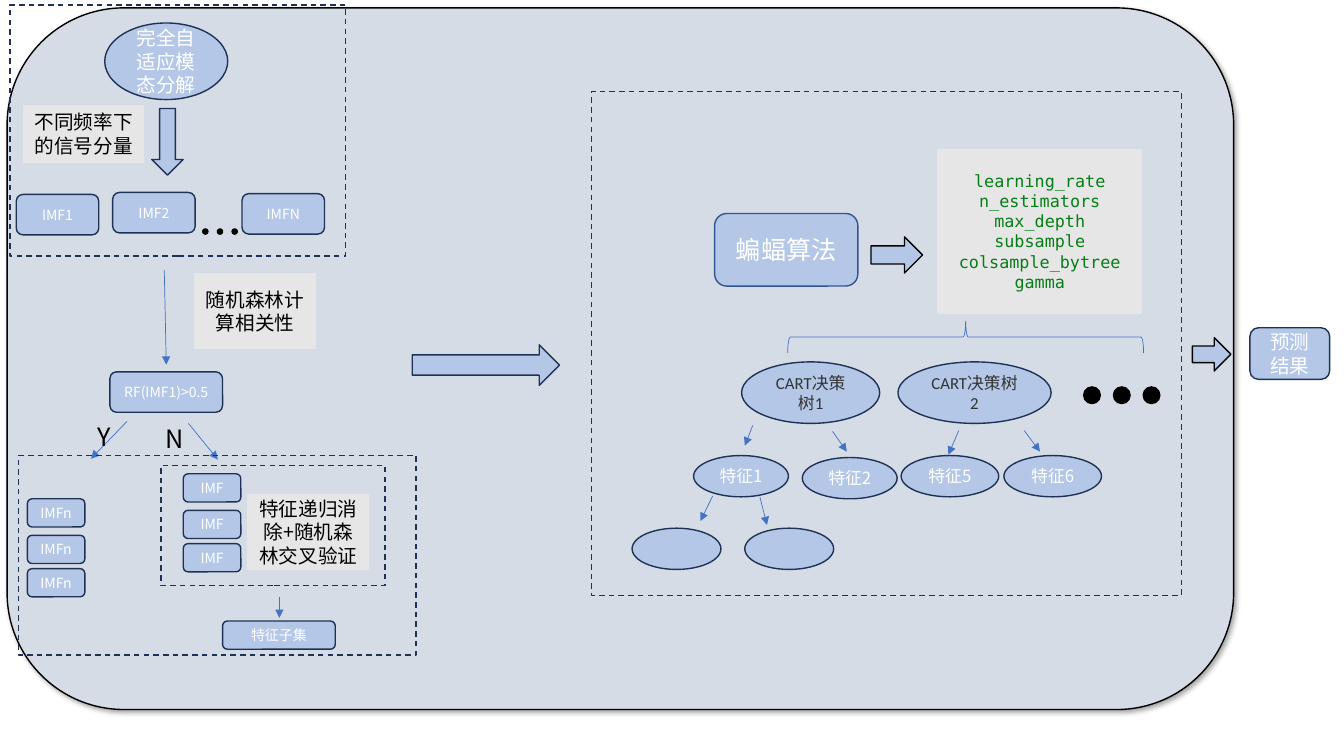
from lxml import etree
from pptx import Presentation
from pptx import util as u
from pptx.dml.color import RGBColor
from pptx.enum import dml, shapes, text
from pptx.oxml import ns, parse_xml

Cm, Pt = u.Cm, u.Pt
KIND = shapes.MSO_SHAPE
BLUE, NAVY, GRAY, PANEL, ACCENT = "B4C7E7", "1E3256", "E7E6E6", "D6DCE5", "4472C4"
CJK = "Noto Sans CJK SC"

presentation = Presentation()
presentation.slide_width, presentation.slide_height = Cm(33.87), Cm(19.05)
slide = presentation.slides.add_slide(presentation.slide_layouts[6])


def add_box(kind, left, top, width, height, words="", fill=BLUE, line=NAVY, weight=1,
            dash=False, rotation=0, size=10, color="FFFFFF", font=CJK):
    """Add a preset shape, or a fitted text box when kind is None, with its text."""
    place = Cm(left), Cm(top), Cm(width), Cm(height)
    if kind is None:
        shape = slide.shapes.add_textbox(*place)
        shape.text_frame.word_wrap = False
        shape.text_frame.auto_size = text.MSO_AUTO_SIZE.SHAPE_TO_FIT_TEXT
    else:
        shape = slide.shapes.add_shape(kind, *place)
        shape.shadow.inherit = False
        shape.rotation = rotation
        shape.line.color.rgb = RGBColor.from_string(line)
        shape.line.width = Pt(weight)
        if dash:
            shape.line.dash_style = dml.MSO_LINE.DASH
        if fill:
            shape.fill.solid()
            shape.fill.fore_color.rgb = RGBColor.from_string(fill)
        else:
            shape.fill.background()
        shape.text_frame.vertical_anchor = text.MSO_ANCHOR.MIDDLE
    if words:
        shape.text_frame.text = words
    for paragraph in shape.text_frame.paragraphs if words else ():
        paragraph.alignment = text.PP_ALIGN.CENTER if kind else text.PP_ALIGN.LEFT
        for run in paragraph.runs:
            run.font.size = Pt(size)
            run.font.name = font
            run.font.color.rgb = RGBColor.from_string(color)
            east_asian = etree.SubElement(run.font._element, ns.qn("a:ea"))
            east_asian.set("typeface", CJK)
    return shape


def add_arrow(x1, y1, x2, y2):
    """Add a thin connector with an arrowhead at its end."""
    arrow = slide.shapes.add_connector(
        shapes.MSO_CONNECTOR.STRAIGHT, Cm(x1), Cm(y1), Cm(x2), Cm(y2))
    arrow.line.color.rgb = RGBColor.from_string(ACCENT)
    arrow.line.width = Pt(0.5)
    etree.SubElement(arrow.line._get_or_add_ln(), ns.qn("a:tailEnd")).set("type", "triangle")
    etree.SubElement(arrow._element.spPr, ns.qn("a:effectLst"))


# Background panel with a soft shadow
panel = add_box(KIND.ROUNDED_RECTANGLE, 0.18, 0.2, 30.91, 17.68, fill=PANEL, line="000000")
panel._element.spPr.find(ns.qn("a:effectLst")).append(parse_xml(
    f'<a:outerShdw {ns.nsdecls("a")} blurRad="{Pt(4)}" dist="{Pt(3)}" dir="2700000" '
    'algn="tl" rotWithShape="0"><a:srgbClr val="000000"><a:alpha val="40000"/>'
    '</a:srgbClr></a:outerShdw>'))

# Signal decomposition
add_box(KIND.OVAL, 2.64, 0.58, 3.1, 1.93, "完全自适应模态分解", size=14)
for name, left, top in (("IMF1", 0.41, 4.9), ("IMF2", 2.84, 4.85), ("IMFN", 6.1, 4.88)):
    add_box(KIND.ROUNDED_RECTANGLE, left, top, 2.08, 1.02, name)

# Correlation test and feature subset
for words, left, top, width, height in (
        ("RF(IMF1)>0.5", 2.77, 9.37, 2.84, 1.02),
        ("特征子集", 5.61, 15.65, 2.84, 0.71)):
    add_box(KIND.ROUNDED_RECTANGLE, left, top, width, height, words)
for name, left, first_top in (("IMFn", 0.69, 12.57), ("IMF", 4.62, 11.94)):
    for offset in (0, 0.92, 1.76):
        add_box(KIND.ROUNDED_RECTANGLE, left, first_top + offset, 1.45, 0.71, name)

# Bat algorithm, tuned parameters and result
add_box(KIND.ROUNDED_RECTANGLE, 18.01, 5.38, 3.61, 1.83, "蝙蝠算法", line="325491", size=18)
add_box(KIND.RECTANGLE, 23.6, 3.73, 5.21, 4.19,
        "learning_rate n_estimators\nmax_depth\vsubsample\ncolsample_bytree\ngamma",
        fill=GRAY, line=PANEL, size=12, color="067D17", font="DejaVu Sans Mono")
add_box(KIND.LEFT_BRACE, 23.93, 4.01, 0.81, 8.97, fill=None, line=ACCENT, weight=0.5,
        rotation=90)
add_box(KIND.ROUNDED_RECTANGLE, 31.5, 8.26, 2.01, 1.3, "预测结果", size=14)

# Decision trees
for words, left, width in (("CART决策树1", 18.69, 3.48), ("CART决策树2", 22.63, 3.86)):
    add_box(KIND.OVAL, left, 9.12, width, 1.55, words, size=12, color="333333",
            font="Calibri")
for words, left, top, width in (
        ("特征1", 17.48, 11.48, 2.39), ("特征2", 20.22, 11.53, 2.39),
        ("特征5", 22.71, 11.48, 2.46), ("特征6", 25.3, 11.48, 2.46),
        ("", 15.93, 13.31, 2.24), ("", 18.77, 13.31, 2.24)):
    add_box(KIND.OVAL, left, top, width, 1.04, words, size=12)

# Ellipsis dots
for first_left, top, step, diameter in ((5.11, 5.77, 0.37, 0.13), (27.31, 9.75, 0.75, 0.42)):
    for index in range(3):
        add_box(KIND.OVAL, first_left + index * step, top, diameter, diameter,
                fill="000000", line="000000")

# Block arrows
for left, top, width, height, rotation, line in (
        (3.38, 3.18, 1.68, 0.79, 90, NAVY), (10.39, 8.69, 3.71, 1.02, 0, NAVY),
        (21.95, 5.97, 1.3, 0.91, 0, "000000"), (30.05, 8.51, 0.97, 0.84, 0, "000000")):
    add_box(KIND.RIGHT_ARROW, left, top, width, height, line=line, rotation=rotation)

# Thin arrows
for ends in (
        (4.14, 6.81, 4.19, 9.19), (3.2, 10.62, 2.29, 11.56), (4.75, 10.67, 5.49, 11.58),
        (7.04, 15.04, 7.04, 15.57), (18.97, 10.72, 18.77, 11.23),
        (20.98, 10.87, 21.34, 11.38), (24.16, 10.85, 23.9, 11.46),
        (25.81, 10.85, 26.21, 11.38), (17.96, 12.5, 17.65, 13.13),
        (19.15, 12.52, 19.33, 13.23)):
    add_arrow(*ends)

# Dashed stage frames
for frame in ((14.91, 2.31, 14.86, 12.7), (0.25, 0.13, 8.46, 6.32),
              (4.06, 11.73, 5.64, 3.02), (0.46, 11.48, 10.03, 5.03)):
    add_box(KIND.RECTANGLE, *frame, fill=None, dash=True)

# Gray notes and branch letters
for words, left, top, height in (
        ("不同频率下的信号分量", 0.56, 2.62, 1.5), ("随机森林计算相关性", 4.88, 6.86, 1.96),
        ("特征递归消除+随机森林交叉验证", 6.22, 12.42, 1.96)):
    add_box(KIND.RECTANGLE, left, top, 3.1, height, words, fill=GRAY, line=PANEL, size=14,
            color="000000")
for letter, left, top, width in (("Y", 2.21, 10.49, 0.86), ("N", 3.91, 10.54, 0.99)):
    add_box(None, left, top, width, 1.02, letter, size=18, color="000000")

presentation.save("out.pptx")
